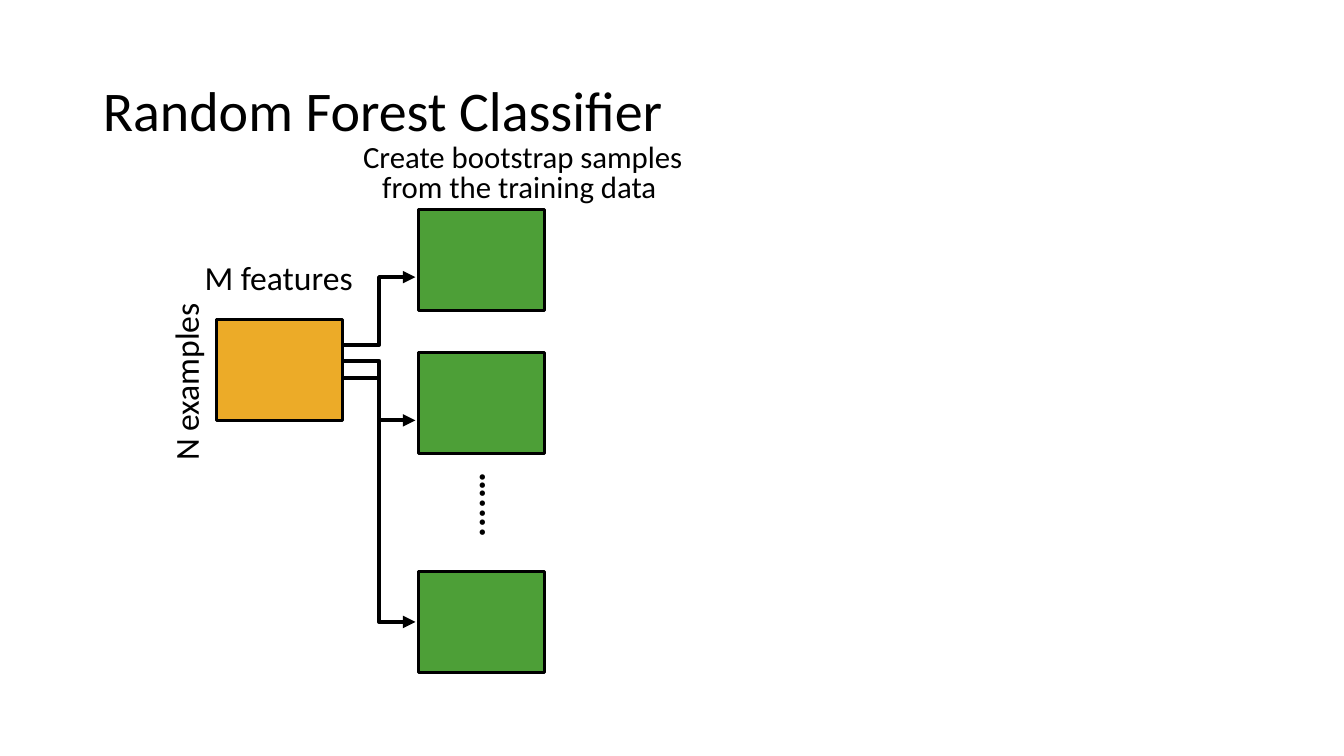
from lxml.etree import SubElement
from pptx import Presentation
from pptx.dml.color import RGBColor
from pptx.enum.shapes import MSO_CONNECTOR, MSO_SHAPE
from pptx.enum.text import MSO_ANCHOR, PP_ALIGN
from pptx.oxml.ns import qn
from pptx.util import Inches, Pt

COLORS = {"ink": "000000", "data": "ECAB28", "sample": "4D9F37"}
BOX_WIDTH, BOX_HEIGHT = 1.25, 1
DATA_LEFT, DATA_TOP = 2.15, 3.17
SAMPLE_LEFT = 4.15


def write_text(shape, text, size=24, bold=False, align=PP_ALIGN.LEFT,
               spacing=1.0, anchor=MSO_ANCHOR.TOP, wrap=False):
    frame = shape.text_frame
    frame.word_wrap = wrap
    frame.vertical_anchor = anchor
    frame.text = text
    for para in frame.paragraphs:
        para.alignment = align
        para.line_spacing = spacing
        for span in para.runs:
            span.font.name = "Calibri"
            span.font.size = Pt(size)
            span.font.bold = bold
            span.font.color.rgb = RGBColor.from_string(COLORS["ink"])


deck = Presentation()
deck.slide_width = Inches(13.33)
deck.slide_height = Inches(7.5)
page = deck.slides.add_slide(deck.slide_layouts[5])

title = page.shapes.title
title.left, title.top = Inches(0.92), Inches(0.4)
title.width, title.height = Inches(11.5), Inches(1.45)
write_text(title, "Random Forest Classifier", size=40, spacing=0.9,
           anchor=MSO_ANCHOR.MIDDLE, wrap=True)

boxes = [(DATA_LEFT, DATA_TOP, "data")]
boxes += [(SAMPLE_LEFT, top, "sample") for top in (2.08, 3.5, 5.67)]
for left, top, color in boxes:
    box = page.shapes.add_shape(MSO_SHAPE.RECTANGLE, Inches(left), Inches(top),
                                Inches(BOX_WIDTH), Inches(BOX_HEIGHT))
    box.shadow.inherit = False
    box.fill.solid()
    box.fill.fore_color.rgb = RGBColor.from_string(COLORS[color])
    box.line.color.rgb = RGBColor.from_string(COLORS["ink"])
    box.line.width = Pt(2.25)

for start, end in ((3.42, 2.75), (3.75, 4.17), (3.58, 6.17)):
    arrow = page.shapes.add_connector(
        MSO_CONNECTOR.ELBOW, Inches(DATA_LEFT + BOX_WIDTH), Inches(start),
        Inches(SAMPLE_LEFT - 0.03), Inches(end))
    arrow.line.color.rgb = RGBColor.from_string(COLORS["ink"])
    arrow.line.width = Pt(3)
    SubElement(arrow.line._get_or_add_ln(), qn("a:tailEnd"), type="triangle")
    SubElement(arrow._element.spPr, qn("a:effectLst"))

labels = [
    ("N examples", 0.95, 3.53, 1.78, 0.5, 270, {}),
    ("M features", 1.93, 2.5, 1.69, 0.5, 0, {}),
    ("Create bootstrap samples\nfrom the training data ", 2.1, 1.39, 6.17, 0.69, 0,
     {"size": 22, "align": PP_ALIGN.CENTER, "spacing": 0.8, "wrap": True}),
    ("....…", 4.24, 4.74, 0.85, 0.53, 270, {"size": 26, "bold": True}),
]
for text, left, top, width, height, rotation, style in labels:
    label = page.shapes.add_textbox(Inches(left), Inches(top),
                                    Inches(width), Inches(height))
    label.rotation = rotation
    write_text(label, text, **style)

deck.save("out.pptx")
